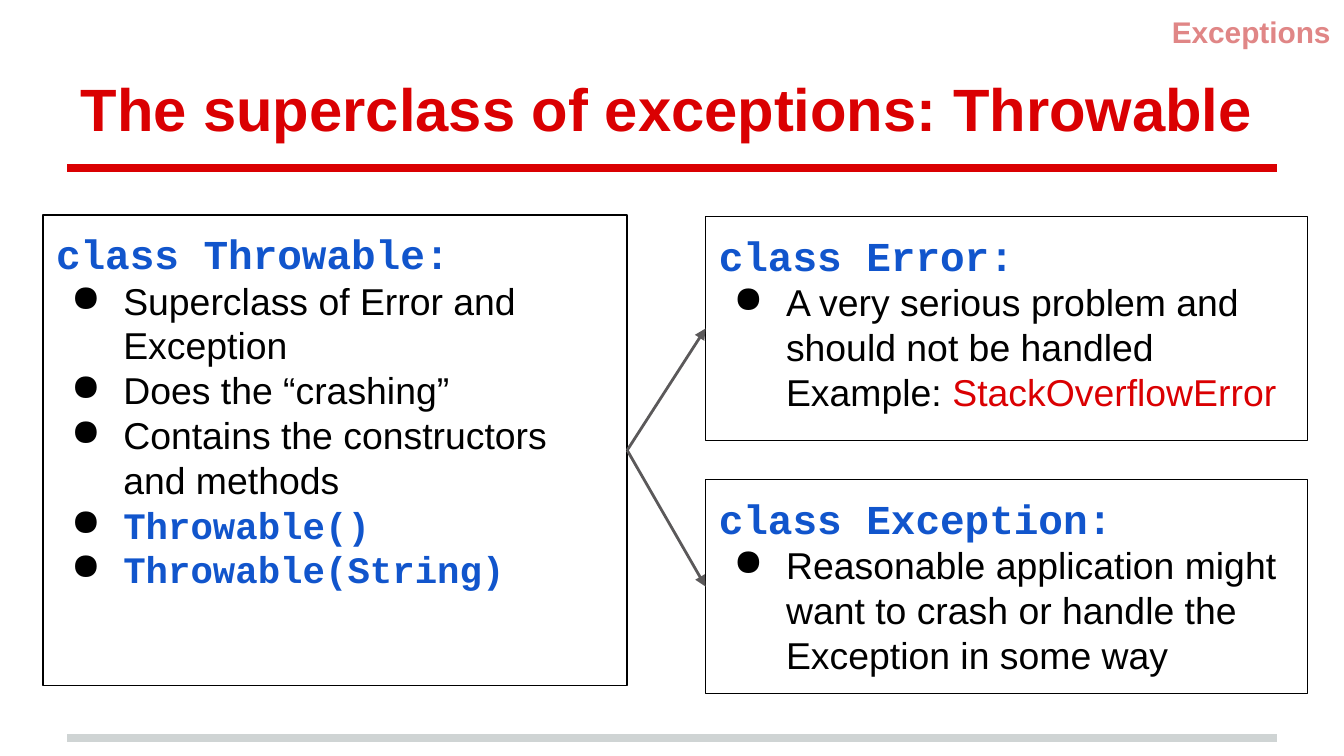
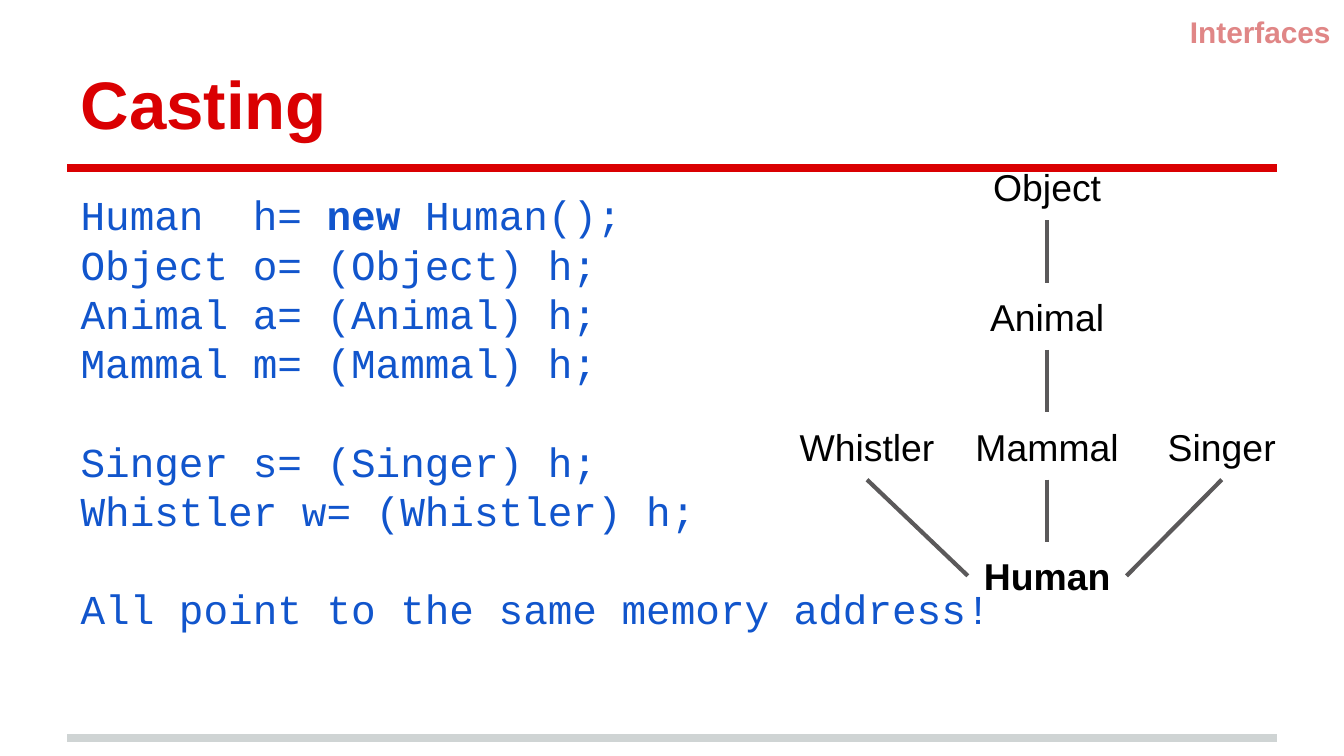
"""Build two lecture slides on Java exceptions and casting."""
from pptx import Presentation
from pptx import util as u
from pptx.dml.color import RGBColor
from pptx.enum import shapes, text
from pptx.oxml import ns, xmlchemy

Pt = u.Pt
RED = RGBColor(0xDA, 0x00, 0x02)
PINK = RGBColor(0xE0, 0x86, 0x86)
BLUE = RGBColor(0x11, 0x55, 0xCC)
BLACK = RGBColor(0, 0, 0)
GRAY = RGBColor(0x5B, 0x59, 0x5A)
SILVER = RGBColor(0xCF, 0xD4, 0xD4)
SANS, MONO = "Arial", "Courier New"
TOP, LEFT, BOTTOM, RIGHT = range(4)
LEADING = 1.2
FIRST_GAP = 3.3


def add(parent, tag, **attrs):
    """Append an XML child with the given attributes."""
    child = xmlchemy.OxmlElement(tag)
    for name, value in attrs.items():
        child.set(name, str(value))
    parent.append(child)
    return child


class Deck:
    """Hold the shared style and the slide being built."""

    def __init__(self):
        self.prs = Presentation()
        self.prs.slide_width, self.prs.slide_height = Pt(720), Pt(405)
        self.s = None

    def slide(self, title, topic, size, layout):
        """Start a slide with its title, topic label and two rules."""
        self.s = self.prs.slides.add_slide(self.prs.slide_layouts[layout])
        for y, color in ((395.5, SILVER), (90, RED)):
            self.line(color, 4, (36, y, 684, y))
        sp = self.s.shapes.title
        self.place(sp, 36, 16.5, 648, 67.5)
        tf = self.frame(sp, text.MSO_ANCHOR.BOTTOM)
        self.para(tf, title, size, RED, bold=True)
        self.label(topic, 551.5, 0, 168.5, 28.8, 16, PINK, True,
                   text.PP_ALIGN.RIGHT, text.MSO_ANCHOR.TOP)

    def place(self, sp, x, y, w, h):
        """Move and size a shape."""
        sp.left, sp.top, sp.width, sp.height = Pt(x), Pt(y), Pt(w), Pt(h)

    def frame(self, sp, anchor=text.MSO_ANCHOR.TOP):
        """Prepare the text frame of a shape."""
        tf = sp.text_frame
        tf.word_wrap = True
        tf.auto_size = text.MSO_AUTO_SIZE.NONE
        tf.vertical_anchor = anchor
        tf.margin_left = tf.margin_right = Pt(7.2)
        tf.margin_top = tf.margin_bottom = Pt(7.2)
        return tf

    def para(self, tf, runs, size, color=BLACK, font=SANS, bold=False,
             align=text.PP_ALIGN.LEFT, leading=None, before=0, bullet=False):
        """Write one paragraph from a string or (text, overrides) runs."""
        p = tf.paragraphs[0]
        if p.runs:
            p = tf.add_paragraph()
        p.alignment = align
        p.space_before, p.space_after = Pt(before), Pt(0)
        if leading:
            p.line_spacing = Pt(size * leading)
        pPr = p._p.get_or_add_pPr()
        pPr.set("marL", str(Pt(36) if bullet else 0))
        pPr.set("indent", str(Pt(-28) if bullet else 0))
        if bullet:
            add(add(pPr, "a:buClr"), "a:srgbClr", val=BLACK)
            add(pPr, "a:buChar", char="●")
        else:
            add(pPr, "a:buNone")
        p.font.size, p.font.name, p.font.bold = Pt(size), font, bold
        p.font.color.rgb = color
        for words, override in [(runs, {})] if isinstance(runs, str) else runs:
            if words == "\n":
                p.add_line_break()
                continue
            r = p.add_run()
            r.text = words
            if "bold" in override:
                r.font.bold = override["bold"]
            if "color" in override:
                r.font.color.rgb = override["color"]

    def label(self, words, x, y, w, h, size=20, color=BLACK, bold=False,
              align=text.PP_ALIGN.CENTER, anchor=text.MSO_ANCHOR.MIDDLE):
        """Add a one-line text box."""
        sp = self.s.shapes.add_textbox(Pt(x), Pt(y), Pt(w), Pt(h))
        self.para(self.frame(sp, anchor), words, size, color,
                  bold=bold, align=align)
        return sp

    def class_box(self, name, x, y, w, h, points, methods=()):
        """Add an outlined box describing a class."""
        sp = self.s.shapes.add_shape(shapes.MSO_SHAPE.RECTANGLE,
                                     Pt(x), Pt(y), Pt(w), Pt(h))
        sp.shadow.inherit = False
        sp.fill.background()
        sp.line.color.rgb, sp.line.width = BLACK, Pt(0.75)
        tf = self.frame(sp)
        self.para(tf, f"class {name}:", 22, BLUE, MONO, True,
                  leading=LEADING, before=FIRST_GAP)
        for point in points:
            self.para(tf, point, 20, leading=LEADING, bullet=True)
        for method in methods:
            self.para(tf, method, 20, BLUE, MONO, True,
                      leading=LEADING, bullet=True)
        return sp

    def code(self, groups):
        """Fill the body placeholder with groups of code lines."""
        sp = self.s.placeholders[1]
        self.place(sp, 36, 94.5, 648, 293)
        tf = self.frame(sp)
        for i, group in enumerate(groups):
            for j, row in enumerate(group):
                gap = 22 * LEADING if i else FIRST_GAP
                self.para(tf, row, 22, BLUE, MONO, leading=LEADING,
                          before=0 if j else gap)

    def line(self, color, width, ends=(0, 0, 0, 0), arrow=False):
        """Add a straight line, with an arrowhead if wanted."""
        c = self.s.shapes.add_connector(shapes.MSO_CONNECTOR.STRAIGHT,
                                        *map(Pt, ends))
        c.line.color.rgb, c.line.width = color, Pt(width)
        if arrow:
            add(c.line._get_or_add_ln(), "a:tailEnd", type="triangle")
        add(c._element.find(ns.qn("p:spPr")), "a:effectLst")
        return c

    def link(self, start, start_side, end, end_side, width, arrow=False):
        """Join two shapes at the given sides."""
        c = self.line(GRAY, width, arrow=arrow)
        c.begin_connect(start, start_side)
        c.end_connect(end, end_side)


def throwable_slide(deck):
    """Build the slide on the Throwable class."""
    deck.slide("The superclass of exceptions: Throwable", "Exceptions", 32, 5)
    parent = deck.class_box(
        "Throwable", 23, 115.2, 313, 252,
        ["Superclass of Error and Exception", "Does the “crashing”",
         "Contains the constructors and methods"],
        ["Throwable()", "Throwable(String)"])
    error = deck.class_box(
        "Error", 378, 116, 322.5, 120,
        [[("A very serious problem and should not be handled", {}),
          ("\n", {}), ("Example: ", {}),
          ("StackOverflowError", {"color": RED})]])
    exception = deck.class_box(
        "Exception", 378, 257, 322.5, 114.5,
        ["Reasonable application might want to crash or handle "
         "the Exception in some way"])
    for child in (error, exception):
        deck.link(parent, RIGHT, child, LEFT, 1.5, arrow=True)


def casting_slide(deck):
    """Build the slide on casting, with its type tree."""
    deck.slide("Casting", "Interfaces", 36, 1)
    deck.code([
        [[("Human  h= ", {}), ("new", {"bold": True}), (" Human();", {})],
         "Object o= (Object) h;", "Animal a= (Animal) h;",
         "Mammal m= (Mammal) h;"],
        ["Singer s= (Singer) h;", "Whistler w= (Whistler) h;"],
        ["All point to the same memory address!"]])
    center, top, step, h = 561, 82, 69.5, 36
    chain = []
    for i, (name, w) in enumerate((("Object", 76), ("Animal", 76),
                                   ("Mammal", 92), ("Human", 85))):
        chain.append(deck.label(name, center - w / 2, top + i * step, w, h,
                                bold=name == "Human"))
    for upper, lower in zip(chain, chain[1:]):
        deck.link(upper, BOTTOM, lower, TOP, 2.25)
    for name, x, w, side in (("Whistler", 414, 101, LEFT),
                             ("Singer", 616.5, 76, RIGHT)):
        sp = deck.label(name, x, top + 2 * step, w, h)
        deck.link(sp, BOTTOM, chain[-1], side, 2.25)


deck = Deck()
throwable_slide(deck)
casting_slide(deck)
deck.prs.save("out.pptx")
